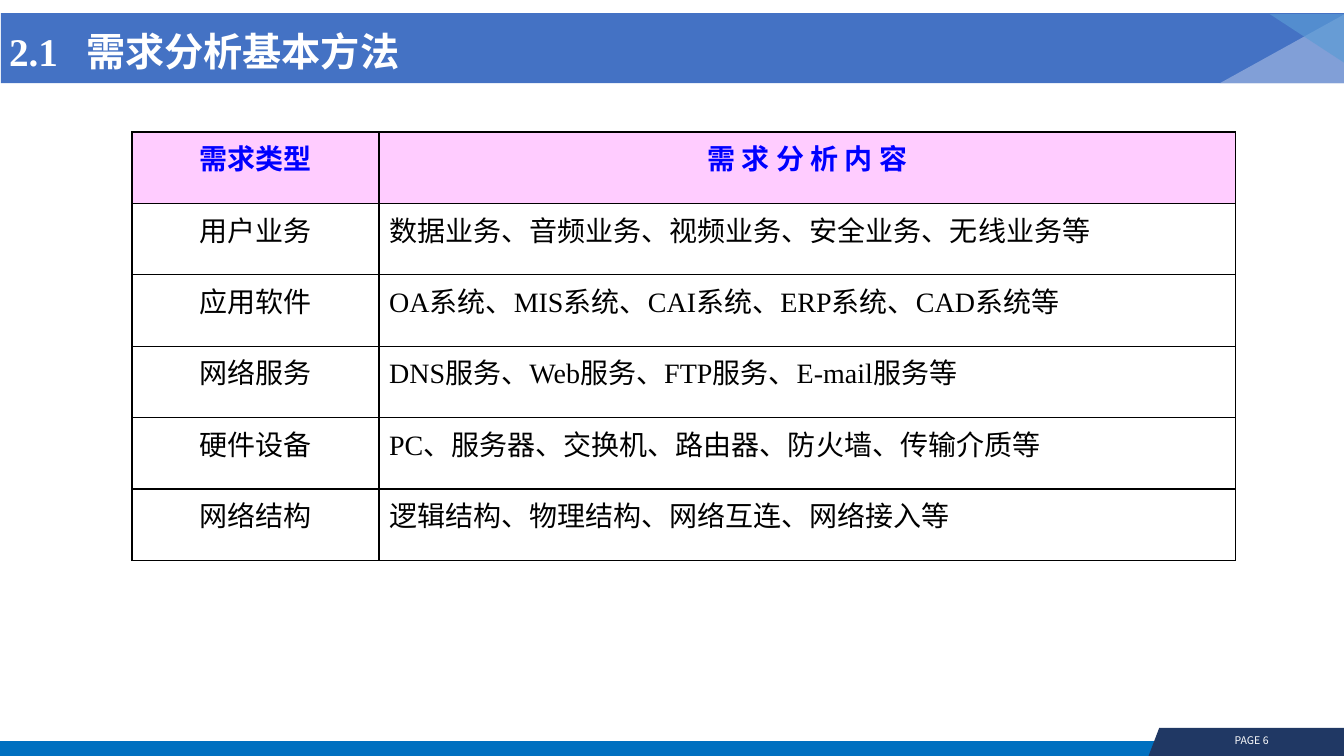
from lxml.etree import SubElement
from pptx import Presentation
from pptx.dml.color import RGBColor
from pptx.enum.shapes import MSO_SHAPE
from pptx.enum.text import MSO_ANCHOR, MSO_AUTO_SIZE, PP_ALIGN
from pptx.oxml.ns import qn
from pptx.util import Pt

COLORS = {
    "white": "FFFFFF", "black": "000000", "band": "4472C4",
    "pale_facet": "8FAADC", "bright_facet": "5B9BD5", "footer": "0070C0",
    "page_tab": "203864", "head_fill": "FFCCFF", "head_text": "0000FF",
}
SERIF = "Times New Roman"
SANS = "Noto Sans CJK SC"
REQUIREMENTS = [
    ("需求类型", "需 求 分 析 内 容"),
    ("用户业务", "数据业务、音频业务、视频业务、安全业务、无线业务等"),
    ("应用软件", "OA系统、MIS系统、CAI系统、ERP系统、CAD系统等"),
    ("网络服务", "DNS服务、Web服务、FTP服务、E-mail服务等"),
    ("硬件设备", "PC、服务器、交换机、路由器、防火墙、传输介质等"),
    ("网络结构", "逻辑结构、物理结构、网络互连、网络接入等"),
]


def rgb(color):
    """Return the named colour."""
    return RGBColor.from_string(COLORS[color])


def paint(shape, color, opacity=100):
    """Fill a shape without outline or shadow."""
    shape.shadow.inherit = False
    shape.fill.solid()
    shape.fill.fore_color.rgb = rgb(color)
    shape.line.fill.background()
    if opacity < 100:
        tint = shape.fill._xPr.find(qn("a:solidFill"))[0]
        SubElement(tint, qn("a:alpha")).set("val", str(opacity * 1000))


def style(paragraph, size, color, latin, align=PP_ALIGN.LEFT, bold=False):
    """Format a whole paragraph."""
    paragraph.alignment = align
    font = paragraph.font
    font.size, font.bold, font.name = Pt(size), bold, latin
    font.color.rgb = rgb(color)
    SubElement(font._element, qn("a:ea")).set("typeface", SANS)


def add_header(slide, left, top, width, height):
    """Draw the title band, its two corner facets and the title."""
    band = slide.shapes.add_shape(
        MSO_SHAPE.RECTANGLE, Pt(left), Pt(top), Pt(width), Pt(height))
    paint(band, "band")
    facets = [(88.6, 49, 1, "pale_facet", 82, ["flipH"]),
              (53, 34.6, 0.7, "bright_facet", 67, ["flipH", "flipV"])]
    for facet_width, facet_height, drop, color, opacity, flips in facets:
        facet = slide.shapes.add_shape(
            MSO_SHAPE.ISOSCELES_TRIANGLE, Pt(left + width - facet_width),
            Pt(top + drop), Pt(facet_width), Pt(facet_height))
        facet.adjustments[0] = 0
        for flip in flips:
            facet._element.spPr.xfrm.set(flip, "1")
        paint(facet, color, opacity)

    title = slide.shapes.title
    title.left, title.top = Pt(left - 1.4), Pt(top - 0.7)
    title.width, title.height = Pt(828), Pt(height + 5.8)
    slide.shapes._spTree.append(title._element)
    frame = title.text_frame
    frame.text = "2.1\t需求分析基本方法"
    frame.auto_size = MSO_AUTO_SIZE.NONE
    frame.vertical_anchor = MSO_ANCHOR.MIDDLE
    heading = frame.paragraphs[0]
    stops = SubElement(heading._p.get_or_add_pPr(), qn("a:tabLst"))
    SubElement(stops, qn("a:tab"), pos=str(Pt(55)), algn="l")
    style(heading, 28, "white", SERIF, bold=True)


def add_footer(slide, left, top, width, height):
    """Draw the bottom strip and the slanted page tab."""
    strip = slide.shapes.add_shape(
        MSO_SHAPE.RECTANGLE, Pt(left), Pt(top + 8.9), Pt(width), Pt(13))
    paint(strip, "footer")
    right, bottom = left + width, top + height
    outline = slide.shapes.build_freeform(right - 132.5, top, scale=Pt(1))
    outline.add_line_segments(
        [(right, top), (right, bottom), (right - 140, bottom - 0.5)])
    paint(outline.convert_to_shape(), "page_tab")

    page = slide.shapes.add_textbox(
        Pt(right - 90), Pt(top), Pt(48), Pt(16.6))
    page.text_frame.word_wrap = False
    page.text_frame.text = "PAGE 6"
    style(page.text_frame.paragraphs[0], 7.5, "white", SANS, PP_ALIGN.CENTER)


def add_borders(cell):
    """Give a cell a thin black border on each side."""
    properties = cell._tc.get_or_add_tcPr()
    for side in ("lnL", "lnR", "lnT", "lnB"):
        border = SubElement(properties, qn(f"a:{side}"), w=str(Pt(1)))
        fill = SubElement(border, qn("a:solidFill"))
        SubElement(fill, qn("a:srgbClr"), val=COLORS["black"])


def add_requirements(slide, left, top, width, height):
    """Build the table of requirement types and contents."""
    table = slide.shapes.add_table(
        len(REQUIREMENTS), 2, Pt(left), Pt(top), Pt(width), Pt(height)).table
    table.horz_banding = False
    type_width = 176.4
    table.columns[0].width = Pt(type_width)
    table.columns[1].width = Pt(width - type_width)
    for row, texts in enumerate(REQUIREMENTS):
        table.rows[row].height = Pt(height / len(REQUIREMENTS))
        for column, text in enumerate(texts):
            cell = table.cell(row, column)
            add_borders(cell)
            cell.text = text
            entry = cell.text_frame.paragraphs[0]
            entry.space_after = Pt(4)
            if row == 0:
                cell.fill.solid()
                cell.fill.fore_color.rgb = rgb("head_fill")
                style(entry, 20, "head_text", SANS, PP_ALIGN.CENTER, True)
            else:
                cell.fill.background()
                align = PP_ALIGN.LEFT if column else PP_ALIGN.CENTER
                style(entry, 20, "black", SERIF, align)


def main():
    """Build and save the slide."""
    deck = Presentation()
    deck.slide_width, deck.slide_height = Pt(960), Pt(540)
    slide = deck.slides.add_slide(deck.slide_layouts[5])
    add_footer(slide, 0, 520.4, 960, 21)
    add_header(slide, 0.7, 9.4, 959.3, 50)
    add_requirements(slide, 94.3, 94.3, 788.4, 306)
    deck.save("out.pptx")


if __name__ == "__main__":
    main()
